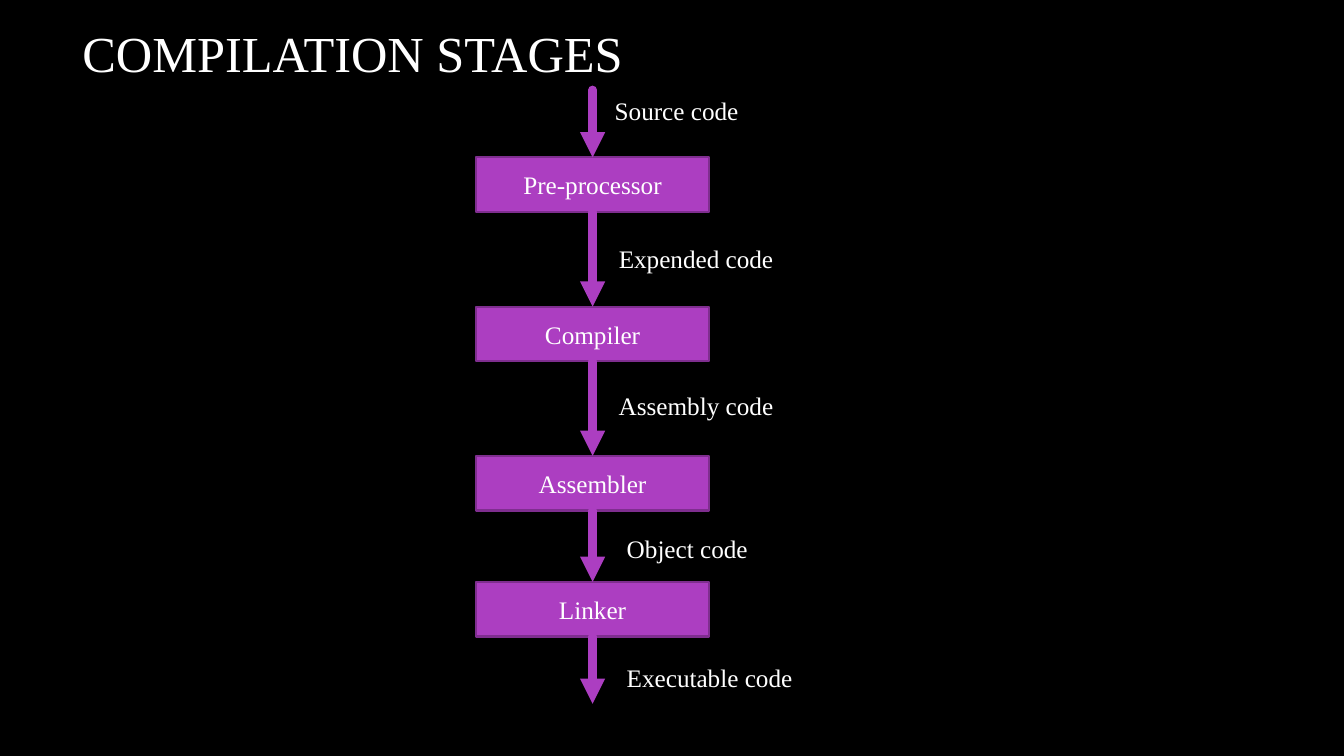
from lxml import etree
from pptx import Presentation
from pptx.dml.color import RGBColor
from pptx.enum.shapes import MSO_CONNECTOR, MSO_SHAPE
from pptx.enum.text import MSO_ANCHOR, PP_ALIGN
from pptx.oxml.ns import qn
from pptx.util import Pt

RECT = MSO_SHAPE.RECTANGLE
STRAIGHT = MSO_CONNECTOR.STRAIGHT
MIDDLE, TOP = MSO_ANCHOR.MIDDLE, MSO_ANCHOR.TOP
LEFT, CENTER = PP_ALIGN.LEFT, PP_ALIGN.CENTER

TITLE = "COMPILATION STAGES"
# stage name, top of its box
STAGES = [
    ("Pre-processor", 112.4),
    ("Compiler", 219),
    ("Assembler", 325.6),
    ("Linker", 415.6),
]
# code passed along each arrow: text, left, top, width
CODES = [
    ("Source code", 432, 64.2, 125.3),
    ("Expended code", 434.9, 170.6, 167),
    ("Assembly code", 434.9, 275, 125.3),
    ("Object code", 440.6, 377.6, 134),
    ("Executable code", 440.6, 469.4, 162),
]

THEME = {
    "font": "Times New Roman",
    "title": 36,
    "body": 18,
    "back": RGBColor(0x00, 0x00, 0x00),
    "text": RGBColor(0xFF, 0xFF, 0xFF),
    "fill": RGBColor(0xAC, 0x3E, 0xC1),
    "edge": RGBColor(0x7F, 0x2E, 0x8F),
}

BOX_X, BOX_W, BOX_H = 339.8, 167, 39.1
MID_X = BOX_X + BOX_W / 2
FLOW_TOP, FLOW_END = 64.2, 502.7
LABEL_H = 29


def write(shape, text, size, align=LEFT, anchor=TOP):
    frame = shape.text_frame
    frame.word_wrap = True
    frame.vertical_anchor = anchor
    para = frame.paragraphs[0]
    para.text = text
    para.alignment = align
    para.font.name = THEME["font"]
    para.font.size = Pt(size)
    para.font.color.rgb = THEME["text"]


def add_label(slide, text, x, y, w, h, size, anchor=TOP):
    label = slide.shapes.add_textbox(Pt(x), Pt(y), Pt(w), Pt(h))
    write(label, text, size, anchor=anchor)


def add_stage(slide, name, y):
    box = slide.shapes.add_shape(RECT, Pt(BOX_X), Pt(y), Pt(BOX_W), Pt(BOX_H))
    box.shadow.inherit = False
    box.fill.solid()
    box.fill.fore_color.rgb = THEME["fill"]
    box.line.color.rgb = THEME["edge"]
    box.line.width = Pt(1.5)
    write(box, name, THEME["body"], CENTER, MIDDLE)
    return box


def add_arrow(slide, above, below):
    """Draw a downward arrow; a missing box means an open end of the flow."""
    arrow = slide.shapes.add_connector(
        STRAIGHT, Pt(MID_X), Pt(FLOW_TOP), Pt(MID_X), Pt(FLOW_END))
    if above:
        arrow.begin_connect(above, 2)
    if below:
        arrow.end_connect(below, 0)
    arrow.line.color.rgb = THEME["fill"]
    arrow.line.width = Pt(6)
    line = arrow.line._get_or_add_ln()
    line.set("cap", "rnd")
    etree.SubElement(line, qn("a:tailEnd"), type="triangle")
    etree.SubElement(arrow._element.spPr, qn("a:effectLst"))


def main():
    deck = Presentation()
    deck.slide_width, deck.slide_height = Pt(960), Pt(540)
    slide = deck.slides.add_slide(deck.slide_layouts[6])
    slide.background.fill.solid()
    slide.background.fill.fore_color.rgb = THEME["back"]

    add_label(slide, TITLE, 51.8, 7.2, 797.8, 59.8, THEME["title"], MIDDLE)
    boxes = [add_stage(slide, name, y) for name, y in STAGES]
    for above, below in zip([None] + boxes, boxes + [None]):
        add_arrow(slide, above, below)
    for text, x, y, w in CODES:
        add_label(slide, text, x, y, w, LABEL_H, THEME["body"])

    deck.save("out.pptx")


if __name__ == "__main__":
    main()
